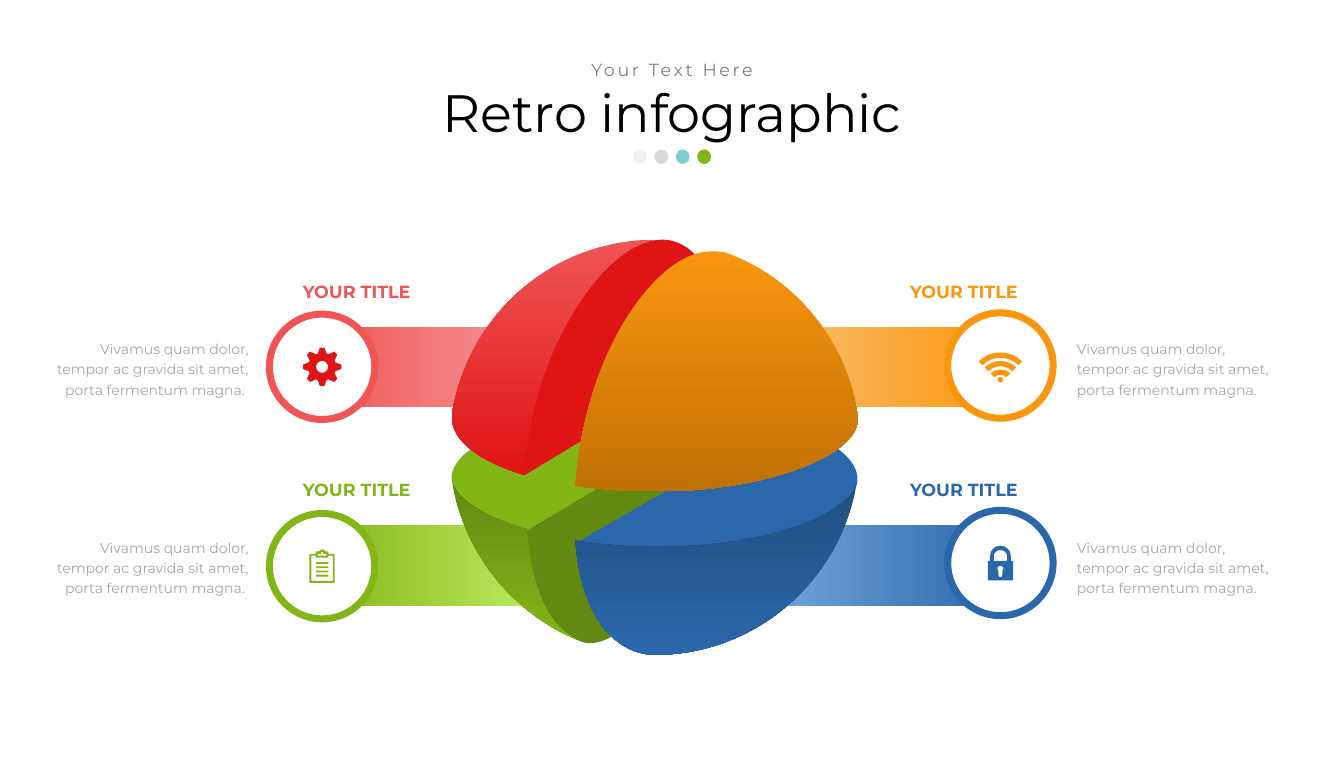
from dataclasses import dataclass
from math import cos, pi, sin

from lxml import etree
from pptx import Presentation
from pptx import util as u
from pptx.dml.color import RGBColor
from pptx.enum import shapes as es, text as et
from pptx.oxml.ns import qn


@dataclass(frozen=True)
class Theme:
    """Colours, font and type sizes."""
    font: str = "Montserrat"
    head: int = 60
    label: int = 20
    body: int = 16
    ink: str = "000000"
    mid: str = "808080"
    soft: str = "A6A6A6"
    white: str = "FFFFFF"
    red: tuple = ("F05455", "F69899", "DF1415")
    green: tuple = ("82B617", "BCEA5D", "628911")
    gold: tuple = ("F9960E", "FBC06E", "C07105")
    blue: tuple = ("2B68AB", "71A4DB", "204E80")
    dots: tuple = (("F2F2F2", 100), ("D9D9D9", 98), ("00A39B", 50), ("82B617", 100))


@dataclass(frozen=True)
class Box:
    """A box in grid cells, one cell to the inch."""
    x: float
    y: float
    w: float
    h: float

    def sub(self, x, y, w, h):
        """Return a box offset from this one."""
        return Box(self.x + x, self.y + y, w, h)

    def emu(self):
        """Return left, top, width and height as lengths."""
        return [u.Inches(v) for v in (self.x, self.y, self.w, self.h)]


T = Theme()
PAGE = Box(0, 0, 21.3, 12)
RECT, OVAL = es.MSO_SHAPE.RECTANGLE, es.MSO_SHAPE.OVAL
LEFT, MID, RIGHT = et.PP_ALIGN.LEFT, et.PP_ALIGN.CENTER, et.PP_ALIGN.RIGHT
COPY = "Vivamus quam dolor, tempor ac gravida sit amet, porta fermentum magna."


def paint(shape, *cols, angle=0):
    """Fill a shape with one colour or a two-colour gradient."""
    shape.shadow.inherit = False
    shape.line.fill.background()
    if len(cols) == 1:
        shape.fill.solid()
        shape.fill.fore_color.rgb = RGBColor.from_string(cols[0])
        return shape
    shape.fill.gradient()
    shape.fill.gradient_angle = angle
    for stop, col in zip(shape.fill.gradient_stops, cols):
        stop.color.rgb = RGBColor.from_string(col)
    return shape


def write(shape, words, size, col, align, bold=False, pad=(.1, .05), line=None):
    """Put one styled paragraph into a shape."""
    frame = shape.text_frame
    frame.word_wrap = True
    frame.auto_size = et.MSO_AUTO_SIZE.NONE
    frame.margin_left = frame.margin_right = u.Inches(pad[0])
    frame.margin_top = frame.margin_bottom = u.Inches(pad[1])
    frame.text = words
    para = frame.paragraphs[0]
    para.alignment, para.line_spacing, para.space_before = align, line, u.Pt(0)
    font = para.font
    font.name, font.size, font.bold = T.font, u.Pt(size), bold
    font.color.rgb = RGBColor.from_string(col)
    return frame


def bend(shape, steps):
    """Join each run of three line ends that forms a cubic curve."""
    nodes = list(shape._element.iter(qn("a:moveTo"), qn("a:lnTo")))
    spot = 0
    for step in steps:
        size = len(step) // 2
        if size == 3:
            curve = etree.SubElement(nodes[spot].getparent(), qn("a:cubicBezTo"))
            nodes[spot].addprevious(curve)
            for node in nodes[spot:spot + 3]:
                curve.append(node[0])
                node.getparent().remove(node)
        spot += size


def trace(slide, box, paths, *cols, angle=270):
    """Draw closed outlines given in hundredths of a cell from the box corner."""
    sets = [[(u.Inches(box.x + s[i] / 100), u.Inches(box.y + s[i + 1] / 100))
             for s in p for i in range(0, len(s), 2)] for p in paths]
    pen = slide.shapes.build_freeform(*sets[0][0], scale=1.0)
    for i, pts in enumerate(sets):
        if i:
            pen.move_to(*pts[0])
        pen.add_line_segments(pts[1:], close=True)
    shape = pen.convert_to_shape()
    bend(shape, [s for p in paths for s in p])
    return paint(shape, *cols, angle=angle)


def ring(r, y=0):
    """Return a circle of four curves."""
    k = .55 * r
    return [(r, y), (r, y + k, k, y + r, 0, y + r), (-k, y + r, -r, y + k, -r, y),
            (-r, y - k, -k, y - r, 0, y - r), (k, y - r, r, y - k, r, y)]


def gear():
    """Return an eight-toothed gear."""
    tooth = ((-7, -21), (-3.5, -30.5), (3.5, -30.5), (7, -21))
    turns = [i * pi / 4 for i in range(8)]
    rim = [(x * cos(a) - y * sin(a), x * sin(a) + y * cos(a)) for a in turns for x, y in tooth]
    return [rim, ring(9.5)]


def waves():
    """Return three signal bands over a dot."""
    def arc(w, way):
        y = 28 - w
        top = y - .55 * w
        return [(-way * w, y), (-way * .45 * w, top, way * .45 * w, top, way * w, y)]
    return [arc(w, 1) + arc(w - 6, -1) for w in (34.5, 25, 15.5)] + [ring(4.5, 22.5)]


def lock():
    """Return a padlock with a keyhole."""
    body = [(-20, -3.5), (-16.5, -3.5), (-16.5, -10.5), (-16.5, -20, -9.5, -27.5, 0, -27.5),
            (9.5, -27.5, 16.5, -20, 16.5, -10.5), (16.5, -3.5), (20, -3.5),
            (20, 27.5), (-20, 27.5)]
    bow = [(10.5, -3.5), (-10.5, -3.5), (-10.5, -10.5), (-10.5, -16.5, -6, -20.5, 0, -20.5),
           (6, -20.5, 10.5, -16.5, 10.5, -10.5)]
    key = [(3, 12.5), (3, 19.5), (3, 23.5, -3, 23.5, -3, 19.5), (-3, 12.5),
           (-7, 9, -4.5, 4.5, 0, 4.5), (4.5, 4.5, 7, 9, 3, 12.5)]
    return [body, bow, key]


def board():
    """Return a clipboard with four lines."""
    rim = [(-20, -19.5), (-10, -19.5), (-10, -23.5), (-5, -23.5),
           (-4, -27.5, 4, -27.5, 5, -23.5), (10, -23.5), (10, -19.5), (20, -19.5),
           (20, 26.5), (-20, 26.5)]
    page = [(-17, -16.5), (-10, -16.5), (-10, -13.5), (10, -13.5), (10, -16.5),
            (17, -16.5), (17, 23.5), (-17, 23.5)]
    clip = [(-7, -16.5), (7, -16.5), (7, -19.5), (1.5, -19.5),
            (1.5, -24.5, -1.5, -24.5, -1.5, -19.5), (-7, -19.5)]
    rows = [-6.5 + 6.7 * i for i in range(4)]
    return [rim, page, clip] + [[(-10, y), (10, y), (10, y + 3), (-10, y + 3)] for y in rows]


def header(slide, box):
    """Fill the title and subtitle and add the row of dots."""
    name, sub = slide.placeholders
    spots = ((name, box.sub(0, .36, box.w, 1.03), "Retro infographic", T.head, T.ink),
             (sub, box.sub(6.46, 0, 6.34, .35), "Your Text Here", T.label, T.mid))
    for shape, spot, words, size, col in spots:
        shape.left, shape.top, shape.width, shape.height = spot.emu()
        frame = write(shape, words, size, col, MID, line=.9)
        frame.vertical_anchor = et.MSO_ANCHOR.MIDDLE
    sub.text_frame.paragraphs[0].runs[0].font._element.set("spc", "300")
    for i, (col, alpha) in enumerate(T.dots):
        dot = slide.shapes.add_shape(OVAL, *box.sub(9.01 + .34 * i, 1.42, .22, .23).emu())
        paint(dot, col)
        if alpha < 100:
            tone = dot._element.spPr.find(f".//{qn('a:srgbClr')}")
            etree.SubElement(tone, qn("a:alpha")).set("val", str(alpha * 1000))


def bar(slide, box, hue, left):
    """Draw the band that runs from a badge to the globe."""
    cols = hue[:2] if left else hue[1::-1]
    x = 4.18 if left else 0
    paint(slide.shapes.add_shape(RECT, *box.sub(x, 0, 3.56, 1.28).emu()), *cols)


def item(slide, box, hue, left, lift, icon, tone):
    """Place a badge, its icon, label and text."""
    note, disc, name = (0, 3.48, 3.85) if left else (4.68, 2.73, .4)
    spot = box.sub(disc, -lift, 1.67, 1.67)
    badge = paint(slide.shapes.add_shape(OVAL, *spot.emu()), T.white)
    badge.line.color.rgb = RGBColor.from_string(hue[0])
    badge.line.width = u.Pt(8)
    trace(slide, spot.sub(.835, .835, 0, 0), icon, tone)
    label = slide.shapes.add_textbox(*box.sub(name, -.81, 3.6, .59).emu())
    write(label, "YOUR TITLE", T.label, hue[0], LEFT if left else RIGHT, True, (.16, .08))
    text = slide.shapes.add_textbox(*box.sub(note, .12, 3.25 if left else 3.31, 1.07).emu())
    write(text, COPY + " " * left, T.body, T.soft, RIGHT if left else LEFT, line=1.2)


def globe(slide, box):
    """Draw the four cut parts of the globe from back to front."""
    parts = (
        ([(442, 352), (445, 335, 447, 318, 448, 302), (132, 489),
          (142, 609, 179, 653, 224, 668), (282, 687, 417, 544, 442, 352)], T.green[2:]),
        ([(450, 303), (417, 299, 380, 297, 340, 297), (136, 297, 9, 359, 16, 411),
          (21, 440, 65, 470, 135, 491)], T.green[:1]),
        ([(135, 489), (66, 469, 21, 439, 16, 410), (34, 525, 111, 621, 215, 664),
          (175, 645, 144, 599, 135, 489)], T.green[::-2]),
        ([(659, 412), (661, 380, 621, 345, 541, 322), (214, 510),
          (252, 516, 295, 519, 340, 519), (517, 519, 655, 466, 659, 412)], T.blue[:1]),
        ([(340, 517), (294, 517, 251, 513, 212, 507), (222, 645, 288, 688, 338, 688),
          (499, 688, 633, 569, 658, 413), (649, 466, 513, 517, 340, 517)], T.blue[::-2]),
        ([(338, 30), (175, 30, 40, 151, 16, 309), (15, 349, 61, 382, 132, 403),
          (136, 228, 250, 36, 346, 30)], T.red[::2]),
        ([(132, 403), (452, 209), (445, 95, 404, 28, 347, 30),
          (251, 34, 136, 228, 132, 403)], T.red[2:]),
        ([(660, 314), (644, 193, 562, 92, 452, 51), (442, 48, 431, 48, 419, 49),
          (343, 55, 228, 201, 212, 420), (252, 426, 296, 429, 340, 429),
          (517, 429, 663, 370, 659, 314)], T.gold[::2]))
    for path, cols in parts:
        trace(slide, box, [path], *cols)


def main():
    """Build and save the slide."""
    deck = Presentation()
    deck.slide_width, deck.slide_height = PAGE.emu()[2:]
    slide = deck.slides.add_slide(deck.slide_layouts[0])
    header(slide, PAGE.sub(1.02, .95, 19.26, 1.65))
    west, east, high, low = (.79, 7.76), (12.29, 7.99), 5.18, 8.33
    items = ((west, high, T.red, .2, gear(), T.red[2]),
             (west, low, T.green, .19, board(), T.green[0]),
             (east, high, T.gold, .22, waves(), T.gold[0]),
             (east, low, T.blue, .24, lock(), T.blue[0]))
    cells = [(PAGE.sub(side[0], y, side[1], 1.28), hue, side is west, *rest)
             for side, y, hue, *rest in items]
    for cell in cells:
        bar(slide, *cell[:3])
    globe(slide, PAGE.sub(7, 3.5, 7, 7))
    for cell in cells:
        item(slide, *cell)
    deck.save("out.pptx")


if __name__ == "__main__":
    main()
